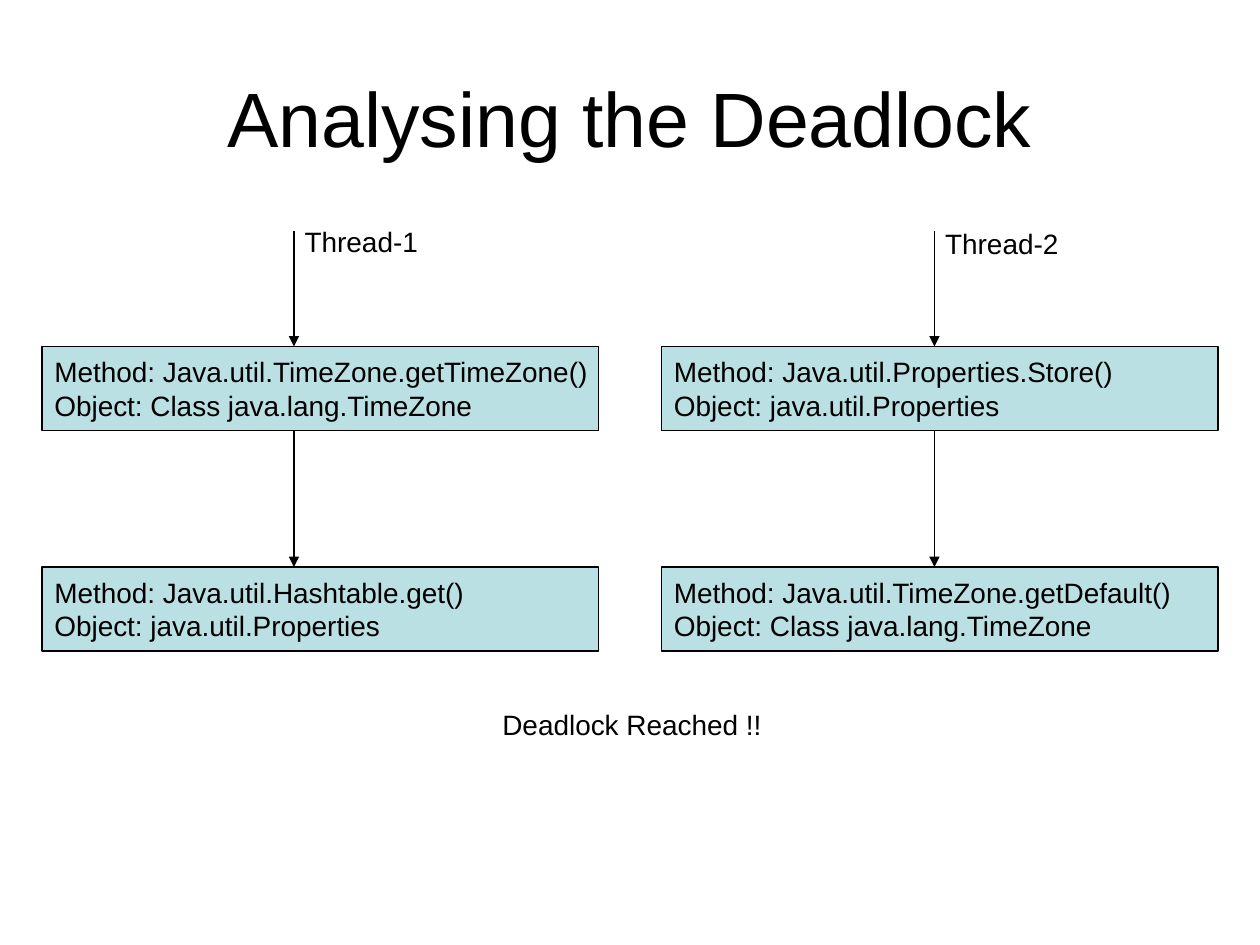
import pptx
import pptx.util
import pptx.dml.color
import pptx.enum.shapes
import pptx.enum.text
import pptx.oxml.ns
from lxml import etree

Pt = pptx.util.Pt
ALIGN = pptx.enum.text.PP_ALIGN
ANCHOR = pptx.enum.text.MSO_ANCHOR

# Content
TITLE = "Analysing the Deadlock"
END = "Deadlock Reached !!"
THREADS = [
    {"name": "Thread-1", "left": 24, "axis": 168, "label": (167, 124.5),
     "steps": [("Method: Java.util.TimeZone.getTimeZone()",
                "Object: Class java.lang.TimeZone"),
               ("Method: Java.util.Hashtable.get()",
                "Object: java.util.Properties")]},
    {"name": "Thread-2", "left": 378, "axis": 534, "label": (533, 126),
     "steps": [("Method: Java.util.Properties.Store()",
                "Object: java.util.Properties"),
               ("Method: Java.util.TimeZone.getDefault()",
                "Object: Class java.lang.TimeZone")]},
]
COLORS = {"ink": "000000", "box": "BBE0E3"}

# Layout
START = 132
TOPS = (198, 324)
WIDTH, HEIGHT = 318, 48


def color(name):
    return pptx.dml.color.RGBColor.from_string(COLORS[name])


def write(shape, lines, size=16, align=ALIGN.LEFT, anchor=ANCHOR.TOP):
    frame = shape.text_frame
    frame.word_wrap = False
    frame.vertical_anchor = anchor
    frame.text = "\n".join(lines)
    for para in frame.paragraphs:
        para.alignment = align
        para.font.name = "Arial"
        para.font.size = Pt(size)
        para.font.color.rgb = color("ink")


def label(slide, text, left, top, width, height, **style):
    box = slide.shapes.add_textbox(Pt(left), Pt(top), Pt(width), Pt(height))
    write(box, [text], **style)


def step(slide, lines, left, top):
    box = slide.shapes.add_shape(pptx.enum.shapes.MSO_SHAPE.RECTANGLE,
                                 Pt(left), Pt(top), Pt(WIDTH), Pt(HEIGHT))
    box.shadow.inherit = False
    box.fill.solid()
    box.fill.fore_color.rgb = color("box")
    box.line.color.rgb = color("ink")
    box.line.width = Pt(0.75)
    write(box, lines, anchor=ANCHOR.MIDDLE)


def arrow(slide, x, top, bottom):
    line = slide.shapes.add_connector(pptx.enum.shapes.MSO_CONNECTOR.STRAIGHT,
                                      Pt(x), Pt(top), Pt(x), Pt(bottom))
    line.line.color.rgb = color("ink")
    line.line.width = Pt(0.75)
    qn = pptx.oxml.ns.qn
    etree.SubElement(line.line._get_or_add_ln(), qn("a:tailEnd"), type="triangle")
    etree.SubElement(line._element.spPr, qn("a:effectLst"))


def main():
    deck = pptx.Presentation()
    deck.slide_width, deck.slide_height = Pt(720), Pt(540)
    slide = deck.slides.add_slide(deck.slide_layouts[6])

    # Title
    label(slide, TITLE, 36, 21.6, 648, 90, size=44,
          align=ALIGN.CENTER, anchor=ANCHOR.MIDDLE)

    # One column per thread: each arrow leads into the next step
    for thread in THREADS:
        above = START
        for lines, top in zip(thread["steps"], TOPS):
            step(slide, lines, thread["left"], top)
            arrow(slide, thread["axis"], above, top)
            above = top + HEIGHT
        label(slide, thread["name"], *thread["label"], 79, 26.6)

    # Outcome
    label(slide, END, 280, 401, 163, 26.6)
    deck.save("out.pptx")


if __name__ == "__main__":
    main()
